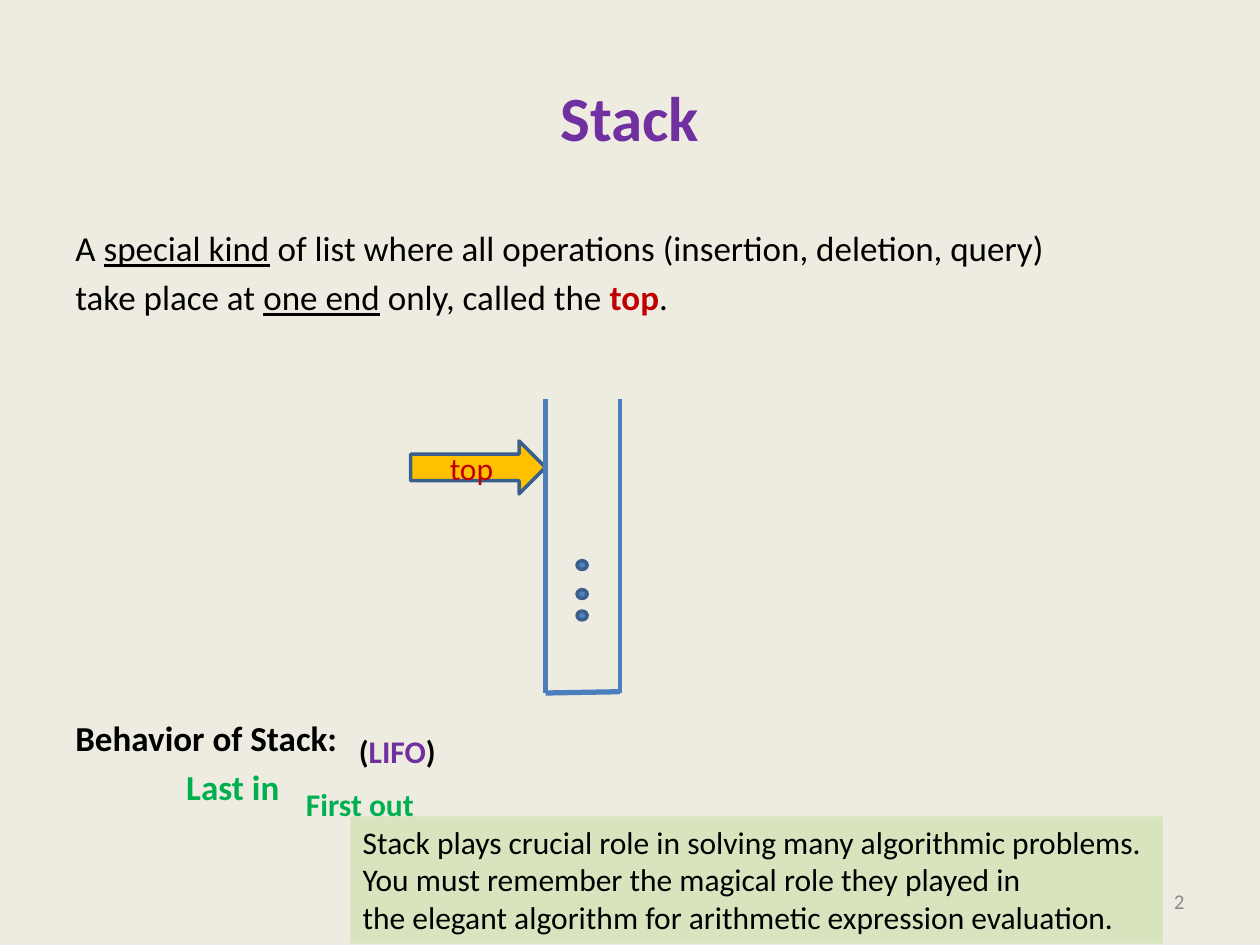
from lxml import etree
from pptx import Presentation
from pptx.dml.color import RGBColor
from pptx.enum.shapes import MSO_CONNECTOR, MSO_SHAPE
from pptx.enum.text import MSO_ANCHOR, PP_ALIGN
from pptx.oxml.ns import qn
from pptx.util import Pt

EMU_PER_PX = 9144
FONT = "Calibri"
LEFT, CENTER, RIGHT = PP_ALIGN.LEFT, PP_ALIGN.CENTER, PP_ALIGN.RIGHT
TOP, MIDDLE = MSO_ANCHOR.TOP, MSO_ANCHOR.MIDDLE
OVAL, ARROW, RECTANGLE = MSO_SHAPE.OVAL, MSO_SHAPE.RIGHT_ARROW, MSO_SHAPE.RECTANGLE
STRAIGHT = MSO_CONNECTOR.STRAIGHT

COLORS = {
    "background": "EEECE1", "black": "000000", "purple": "7030A0",
    "red": "C00000", "green": "00B050", "gray": "8C8C8C",
    "blue": "4F81BD", "outline": "3A5F8C", "wall": "4B7EBC",
    "gold": "FFC000", "note": "D7E4BD",
}


def px(*lengths):
    return [length * EMU_PER_PX for length in lengths]


def color(name):
    return RGBColor.from_string(COLORS[name])


def write_text(shape, paragraphs, size=18, ink="black", bold=False, align=LEFT,
               anchor=TOP, wrap=True, gap=0, indents=()):
    """Fill a shape with paragraphs, each a list of (text, overrides) runs."""
    frame = shape.text_frame
    frame.word_wrap = wrap
    frame.vertical_anchor = anchor
    for index, runs in enumerate(paragraphs):
        paragraph = frame.paragraphs[0] if index == 0 else frame.add_paragraph()
        if index < len(indents):
            paragraph._p.get_or_add_pPr().set("marL", str(px(indents[index])[0]))
        paragraph.alignment = align
        paragraph.space_before = Pt(gap if index else 0)
        for text, overrides in runs:
            run = paragraph.add_run()
            run.text = text
            run.font.name = FONT
            run.font.size = Pt(size)
            run.font.bold = overrides.get("bold", bold)
            run.font.underline = overrides.get("underline", False)
            run.font.color.rgb = color(overrides.get("ink", ink))


def add_text(slide, box, paragraphs, **text_format):
    write_text(slide.shapes.add_textbox(*px(*box)), paragraphs, **text_format)


def add_shape(shapes, kind, box, fill, outline=None):
    shape = shapes.add_shape(kind, *px(*box))
    shape.shadow.inherit = False
    shape.fill.solid()
    shape.fill.fore_color.rgb = color(fill)
    if outline:
        shape.line.color.rgb = color(outline)
        shape.line.width = Pt(2)
    else:
        shape.line.fill.background()
    return shape


def add_wall(shapes, ends, width):
    wall = shapes.add_connector(STRAIGHT, *px(*ends))
    wall.line.color.rgb = color("wall")
    wall.line.width = Pt(width)
    etree.SubElement(wall._element.spPr, qn("a:effectLst"))


def add_stack(slide):
    dots = slide.shapes.add_group_shape().shapes
    for top in (445, 468, 485):
        add_shape(dots, OVAL, (458, top, 8, 7), "blue", "outline")

    pointer = add_shape(slide.shapes, ARROW, (326, 350, 107, 42), "gold", "outline")
    write_text(pointer, [[("top", {})]], ink="red", align=CENTER, anchor=MIDDLE)

    walls = slide.shapes.add_group_shape().shapes
    left, right, top, bottom = 433, 492, 317, 550
    add_wall(walls, (left, top, left, bottom), 3)
    add_wall(walls, (right, top, right, bottom), 2.25)
    add_wall(walls, (left, bottom, right, bottom - 1), 3)


def add_definition(slide):
    underlined = {"underline": True}
    add_text(slide, (50, 175, 900, 85), [
        [("A ", {}), ("special kind", underlined),
         (" of list where all operations (insertion, deletion, query)", {})],
        [("take place at ", {}), ("one end", underlined),
         (" only, called the ", {}), ("top", {"ink": "red", "bold": True}), (".", {})],
    ], size=20, gap=4)


def add_behavior(slide):
    add_text(slide, (50, 564, 300, 85),
             [[("Behavior of Stack:", {})], [("Last in", {"ink": "green"})]],
             size=20, bold=True, gap=4, indents=(0, 88))
    add_text(slide, (233, 618, 107, 40), [[("First out", {})]],
             ink="green", bold=True, wrap=False)
    add_text(slide, (275, 576, 82, 40),
             [[("(", {}), ("LIFO", {"ink": "purple"}), (")", {})]],
             bold=True, wrap=False)


def add_note(slide):
    note = add_shape(slide.shapes, RECTANGLE, (278, 648, 645, 101), "note")
    lines = (
        "Stack plays crucial role in solving many algorithmic problems.",
        "You must remember the magical role they played in",
        "the elegant algorithm for arithmetic expression evaluation.",
    )
    write_text(note, [[(line, {})] for line in lines], wrap=False)


def main():
    presentation = Presentation()
    presentation.slide_width, presentation.slide_height = px(1000, 750)
    slide = presentation.slides.add_slide(presentation.slide_layouts[6])
    slide.background.fill.solid()
    slide.background.fill.fore_color.rgb = color("background")

    add_text(slide, (50, 30, 900, 125), [[("Stack", {})]], size=36,
             ink="purple", bold=True, align=CENTER, anchor=MIDDLE)
    add_definition(slide)
    add_text(slide, (717, 695, 233, 40), [[("2", {})]], size=12,
             ink="gray", align=RIGHT, anchor=MIDDLE)
    add_stack(slide)
    add_behavior(slide)
    add_note(slide)
    presentation.save("out.pptx")


if __name__ == "__main__":
    main()
